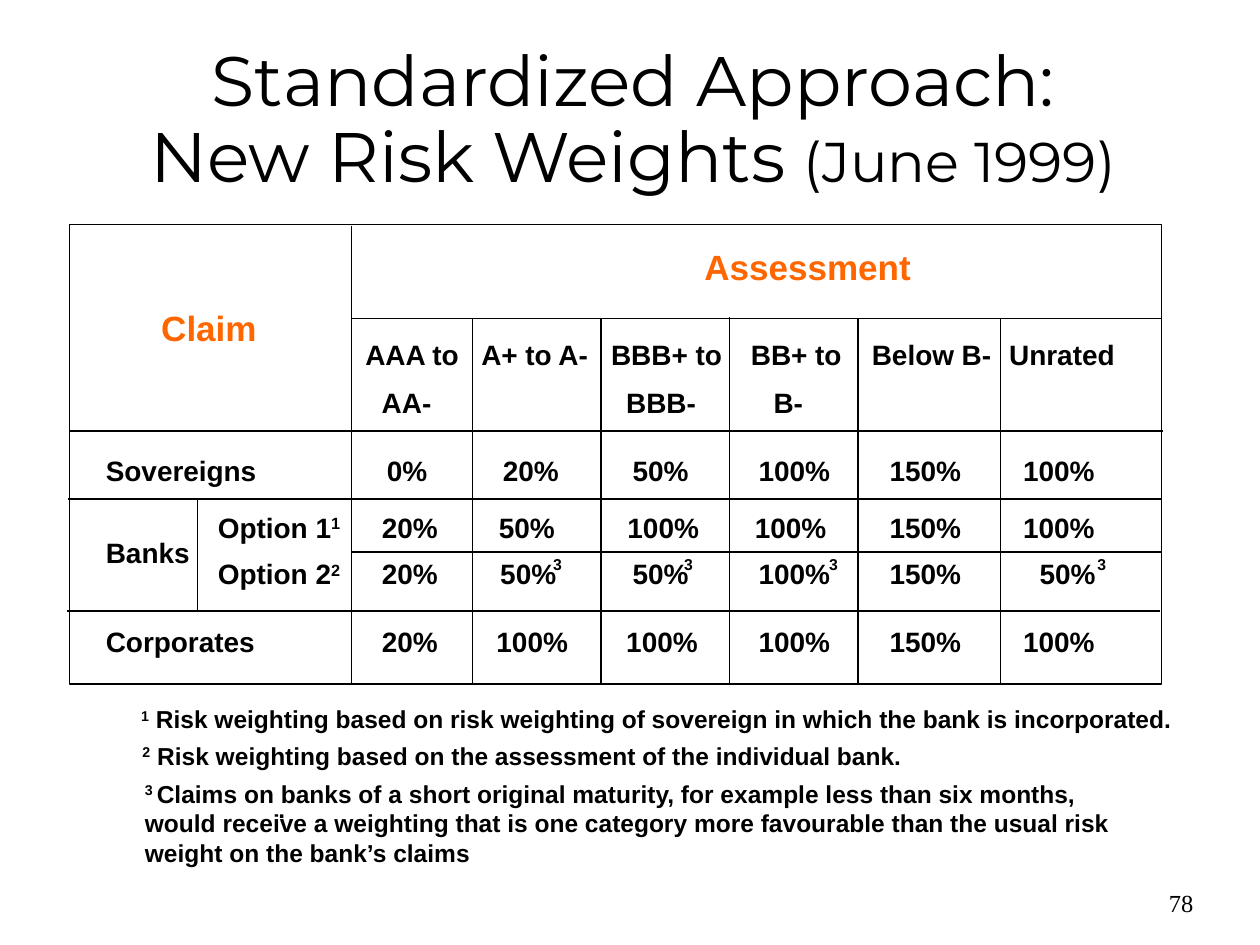
from lxml.etree import SubElement
from pptx import Presentation
from pptx.dml.color import RGBColor
from pptx.enum.shapes import MSO_CONNECTOR as CONNECTOR, MSO_SHAPE as SHAPE
from pptx.enum.text import MSO_ANCHOR as ANCHOR, MSO_AUTO_SIZE as AUTO, PP_ALIGN as ALIGN
from pptx.oxml.ns import qn
from pptx.util import Pt

PX = 9144  # 100 px to the inch
BLACK, ORANGE = "000000", "FF6600"


def rgb(value):
    return RGBColor.from_string(value)


def label(left, top, width, height, parts, size=16, color=BLACK, wrap=False):
    """Add a bold text box; parts are (text, is_superscript) pairs or one string."""
    box = slide.shapes.add_textbox(left * PX, top * PX, width * PX, height * PX)
    frame = box.text_frame
    frame.margin_left = frame.margin_right = frame.margin_top = frame.margin_bottom = 0
    frame.word_wrap = wrap
    frame.auto_size = AUTO.SHAPE_TO_FIT_TEXT
    para = frame.paragraphs[0]
    para.font.size, para.font.name, para.font.bold = Pt(size), "Arial", True
    para.font.color.rgb = rgb(color)
    for text, raised in [(parts, False)] if isinstance(parts, str) else parts:
        run = para.add_run()
        run.text = text
        if raised:
            run._r.get_or_add_rPr().set("baseline", "30000")


prs = Presentation()
prs.slide_width, prs.slide_height = 1000 * PX, 750 * PX
slide = prs.slides.add_slide(prs.slide_layouts[5])

# Title
title = slide.shapes.title
title.left, title.top, title.width, title.height = 44 * PX, 42 * PX, 917 * PX, 109 * PX
title.text_frame.vertical_anchor = ANCHOR.MIDDLE
title.text_frame.auto_size = AUTO.NONE
heading = title.text_frame.paragraphs[0]
heading.alignment, heading.line_spacing = ALIGN.CENTER, 0.9
heading.font.name, heading.font.size = "Montserrat", Pt(40)
heading.font.color.rgb = rgb(BLACK)
heading.add_run().text = "Standardized Approach:"
heading.add_line_break()
heading.add_run().text = "New Risk Weights "
date = heading.add_run()
date.text = "(June 1999)"
date.font.size = Pt(32)

# Grid
frame_box = slide.shapes.add_shape(SHAPE.RECTANGLE, 55 * PX, 178 * PX, 867 * PX, 365 * PX)
frame_box.shadow.inherit = False
frame_box.fill.background()
frame_box.line.color.rgb = rgb(BLACK)
frame_box.line.width = Pt(0.75)

row_rules = [(55, 342, 923), (54, 396, 922), (53, 485, 921), (279, 438, 922), (279, 253, 922)]
column_rules = [(279, 179, 542), (157, 396, 485), (375, 253, 543), (477, 253, 543),
                (579, 252, 542), (681, 253, 543), (794, 253, 543)]
rules = [(x1, y, x2, y) for x1, y, x2 in row_rules]
rules += [(x, y1, x, y2) for x, y1, y2 in column_rules]
for ends in rules:
    rule = slide.shapes.add_connector(CONNECTOR.STRAIGHT, *(end * PX for end in ends))
    rule.line.color.rgb = rgb(BLACK)
    rule.line.width = Pt(0.75)
    SubElement(rule._element.spPr, qn("a:effectLst"))

# Headings
label(559, 195, 165, 33, "Assessment", 20, ORANGE)
label(128, 243, 77, 33, "Claim", 20, ORANGE)
for left, width, text in [(290, 76, "AAA to"), (382, 87, "A+ to A-"), (485, 89, "BBB+ to"),
                          (596, 73, "BB+ to"), (692, 96, "Below B-"), (801, 85, "Unrated")]:
    label(left, 268, width, 27, text)
for left, width, text in [(303, 40, "AA-"), (497, 56, "BBB-"), (614, 24, "B-")]:
    label(left, 306, width, 27, text)

# Claims
label(84, 360, 121, 27, "Sovereigns")
label(84, 425, 68, 27, "Banks")
label(173, 405, 98, 27, [("Option 1", False), ("1", True)])
label(173, 442, 98, 27, [("Option 2", False), ("2", True)])
label(84, 496, 119, 27, "Corporates")

# Risk weights
weight_widths = {2: 33, 3: 45, 4: 58}
weights = [
    (360, [(307, "0%"), (399, "20%"), (502, "50%"), (602, "100%"), (706, "150%"), (812, "100%")]),
    (405, [(303, "20%"), (396, "50%"), (498, "100%"), (599, "100%"), (706, "150%"), (812, "100%")]),
    (442, [(303, "20%"), (397, "50%"), (502, "50%"), (602, "100%"), (706, "150%"), (825, "50%")]),
    (496, [(303, "20%"), (394, "100%"), (497, "100%"), (602, "100%"), (706, "150%"), (812, "100%")]),
]
for top, cells in weights:
    for left, text in cells:
        label(left, top, weight_widths[len(text)], 27, text)
for left in (439, 543, 658, 871):
    label(left, 440, 8, 15, "3", 9)

# Footnotes
label(112, 559, 820, 23, [("1", True), (
    " Risk weighting based on risk weighting of sovereign in which the bank is incorporated.",
    False)], 14)
label(113, 588, 605, 23, [("2", True), (
    " Risk weighting based on the assessment of the individual bank.", False)], 14)
label(115, 618, 769, 70, [("3 ", True), (
    "Claims on banks of a short original maturity, for example less than six months, "
    "would receive a weighting that is one category more favourable than the usual risk "
    "weight on the bank’s claims", False)], 14, wrap=True)
label(221, 630, 6, 23, ".", 14)

# Page number
page_box = slide.shapes.add_textbox(749 * PX, 700 * PX, 208 * PX, 50 * PX)
page_box.text_frame.word_wrap = True
page = page_box.text_frame.paragraphs[0]
page.text = "78"
page.alignment = ALIGN.RIGHT
page.font.name, page.font.size = "Times New Roman", Pt(14)
page.font.color.rgb = rgb(BLACK)

prs.save("out.pptx")
